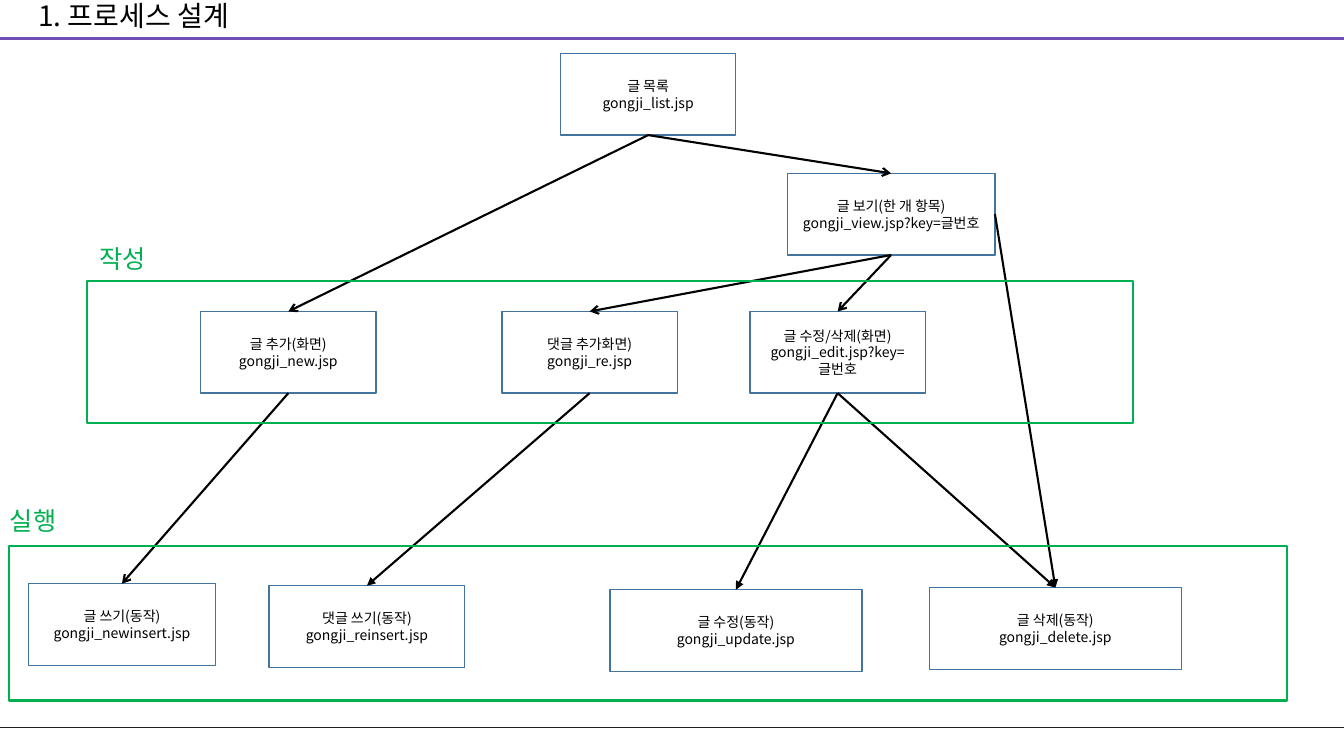
import pptx
import pptx.util
import pptx.dml.color
import pptx.enum.shapes
import pptx.enum.text
import pptx.oxml.ns
import lxml.etree

FONT = "Noto Sans CJK KR"
COLORS = {"text": "000000", "box": "43739E", "group": "00B050",
          "header": "724FB7", "footer": "221F1F"}
RECTANGLE = pptx.enum.shapes.MSO_SHAPE.RECTANGLE
STRAIGHT = pptx.enum.shapes.MSO_CONNECTOR.STRAIGHT
ALIGN = pptx.enum.text.PP_ALIGN
MIDDLE = pptx.enum.text.MSO_ANCHOR.MIDDLE
TOP, BOTTOM, RIGHT = 0, 2, 3  # connection sites of a rectangle

deck = pptx.Presentation()
deck.slide_width = pptx.util.Inches(13.33)
deck.slide_height = pptx.util.Inches(7.5)
slide = deck.slides.add_slide(deck.slide_layouts[5])
shapes = slide.shapes

# The slide is a grid of 100 columns by 100 rows
COL = deck.slide_width / 100
ROW = deck.slide_height / 100


def write(frame, text, size=10, color="text", align=ALIGN.LEFT, anchor=None, spacing=None):
    """Fill a text frame, one paragraph per line of text, in the given format."""
    frame.word_wrap = True
    frame.text = text
    if anchor is not None:
        frame.vertical_anchor = anchor
    for paragraph in frame.paragraphs:
        paragraph.alignment = align
        paragraph.line_spacing = spacing
        for run in paragraph.runs:
            run.font.size = pptx.util.Pt(size)
            run.font.name = FONT
            run.font.color.rgb = pptx.dml.color.RGBColor.from_string(COLORS[color])
            east_asian = lxml.etree.SubElement(
                run.font._element, pptx.oxml.ns.qn("a:ea"))
            east_asian.set("typeface", FONT)


def outline(shape, color, width, arrow=None):
    """Style a shape's or connector's line, without shadow, with an optional arrowhead."""
    shape.line.color.rgb = pptx.dml.color.RGBColor.from_string(COLORS[color])
    shape.line.width = pptx.util.Pt(width)
    if arrow:
        head = lxml.etree.SubElement(shape.line._get_or_add_ln(), pptx.oxml.ns.qn("a:tailEnd"))
        head.set("type", arrow)
    lxml.etree.SubElement(shape._element.spPr, pptx.oxml.ns.qn("a:effectLst"))


# Header and footer rules
for row, color, width in [(5.07, "header", 2.25), (96.27, "footer", 1)]:
    rule = shapes.add_connector(STRAIGHT, 0, int(row * ROW), deck.slide_width, int(row * ROW))
    outline(rule, color, width)

title = shapes.title
title.left, title.top = int(2.1 * COL), 0
title.width, title.height = int(96.45 * COL), int(4.53 * ROW)
write(title.text_frame, "1. 프로세스 설계", size=20, anchor=MIDDLE, spacing=0.9)

# Pages: left column, top row, width in columns, label
BOX_HEIGHT = 10.8
pages = {
    "list": (41.7, 7.07, 13.05, "글 목록\ngongji_list.jsp"),
    "view": (58.58, 22.93, 15.45, "글 보기(한 개 항목)\ngongji_view.jsp?key=글번호"),
    "new": (14.93, 41.2, 13.05, "글 추가(화면)\ngongji_new.jsp"),
    "re": (37.35, 41.2, 13.05, "댓글 추가화면)\ngongji_re.jsp"),
    "edit": (55.8, 41.2, 13.05, "글 수정/삭제(화면)\ngongji_edit.jsp?key=글번호"),
    "newinsert": (2.1, 77.2, 13.95, "글 쓰기(동작)\ngongji_newinsert.jsp"),
    "reinsert": (20.03, 77.47, 14.55, "댓글 쓰기(동작)\ngongji_reinsert.jsp"),
    "update": (45.38, 78, 18.75, "글 수정(동작)\ngongji_update.jsp"),
    "delete": (69.15, 77.73, 18.75, "글 삭제(동작)\ngongji_delete.jsp"),
}
boxes = {}
for page, (left, top, width, label) in pages.items():
    box = shapes.add_shape(RECTANGLE, int(left * COL), int(top * ROW),
                           int(width * COL), int(BOX_HEIGHT * ROW))
    box.fill.background()
    outline(box, "box", 1)
    write(box.text_frame, label, align=ALIGN.CENTER, anchor=MIDDLE)
    boxes[page] = box

# Flow between pages: every arrow ends at the top of its target
flows = [
    ("list", BOTTOM, "new", "arrow"),
    ("list", BOTTOM, "view", "arrow"),
    ("view", BOTTOM, "re", "arrow"),
    ("view", BOTTOM, "edit", "arrow"),
    ("view", RIGHT, "delete", "triangle"),
    ("new", BOTTOM, "newinsert", "arrow"),
    ("re", BOTTOM, "reinsert", "triangle"),
    ("edit", BOTTOM, "update", "triangle"),
    ("edit", BOTTOM, "delete", "triangle"),
]
for source, site, target, arrow in flows:
    flow = shapes.add_connector(STRAIGHT, 0, 0, 0, 0)
    flow.begin_connect(boxes[source], site)
    flow.end_connect(boxes[target], TOP)
    outline(flow, "text", 1.5, arrow)

# Green groups: frame left, top, width, height, then label left, top
groups = [
    ("작성", (6.45, 37.2, 77.85, 18.8), (6.68, 31.47)),
    ("실행", (0.68, 72.27, 95.1, 20.4), (0, 66.13)),
]
for name, (left, top, width, height), (label_left, label_top) in groups:
    group = shapes.add_shape(RECTANGLE, int(left * COL), int(top * ROW),
                             int(width * COL), int(height * ROW))
    group.fill.background()
    outline(group, "group", 1.5)
    label = shapes.add_textbox(int(label_left * COL), int(label_top * ROW),
                               int(9.08 * COL), int(5.33 * ROW))
    write(label.text_frame, name, size=18, color="group")

deck.save("out.pptx")
